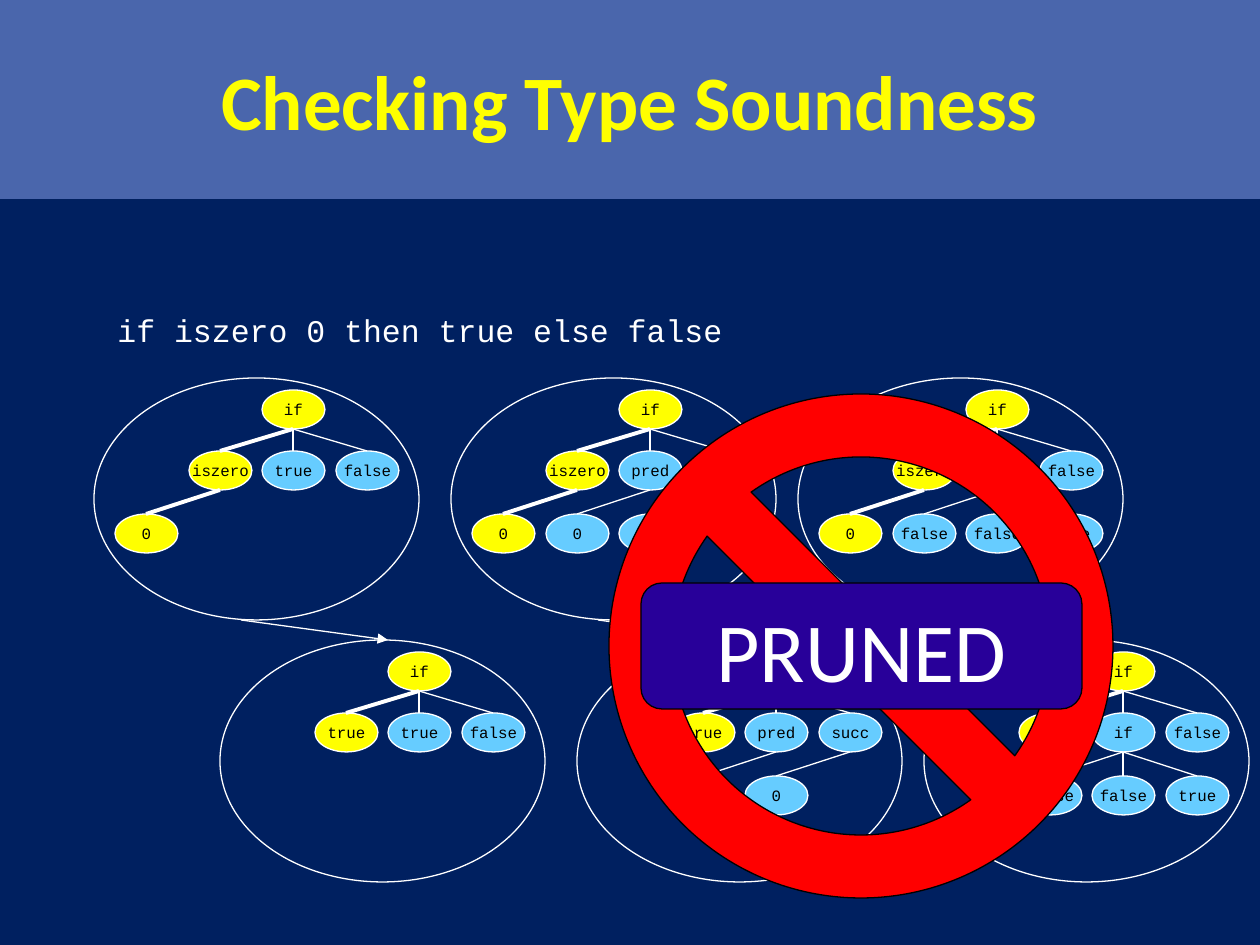
from dataclasses import dataclass

from lxml import etree
from pptx import Presentation
from pptx.dml.color import RGBColor
from pptx.enum.shapes import MSO_CONNECTOR, MSO_SHAPE
from pptx.enum.text import MSO_ANCHOR, PP_ALIGN
from pptx.oxml.ns import qn
from pptx.util import Emu, Pt

RECT, ROUND_RECT = MSO_SHAPE.RECTANGLE, MSO_SHAPE.ROUNDED_RECTANGLE
OVAL, NO_SIGN = MSO_SHAPE.OVAL, MSO_SHAPE.NO_SYMBOL
STRAIGHT = MSO_CONNECTOR.STRAIGHT
MIDDLE, CENTER, LEFT = MSO_ANCHOR.MIDDLE, PP_ALIGN.CENTER, PP_ALIGN.LEFT

EMU_PER_PX = 914400 / 126
COLORS = {
    "background": "002060", "banner": "4A66AC", "active": "FFFF00",
    "idle": "66CCFF", "white": "FFFFFF", "black": "000000",
    "sign": "FF0000", "label": "280099",
}
SANS, MONO = "Calibri", "Courier New"
THIN, THICK = 0.75, 2.25

# Offsets inside the oval that surrounds a tree
OVAL_W, OVAL_H = 325, 242
NODE_W, NODE_H = 63, 39
COLUMN_X = (21, 95, 168, 242)
ROW_Y = (12, 73, 136)
ROOT_COLUMN = 2
ARROW_START_X, ARROW_END_X = 147, 168
STEP_X, STEP_Y = 126, 262  # from a state to the state that follows it


@dataclass(frozen=True)
class Node:
    label: str
    row: int
    column: int
    parent: int = ROOT_COLUMN
    active: bool = False
    covered: bool = False


@dataclass(frozen=True)
class Transition:
    x: int
    y: int
    before: tuple[Node, ...]
    after: tuple[Node, ...]


ROOT = Node("if", 0, ROOT_COLUMN, active=True)
COVERED_ROOT = Node("", 0, ROOT_COLUMN, active=True, covered=True)
ZERO_TEST = (Node("iszero", 1, 1, active=True),
             Node("0", 2, 0, parent=1, active=True))
TRUE_TEST = Node("true", 1, 1, active=True)
FALSE_BRANCH = Node("false", 1, 3)
SIMPLE_BRANCHES = (Node("true", 1, 2), FALSE_BRANCH)


def nested_if(first_column: int, parent: int) -> tuple[Node, ...]:
    return tuple(Node(label, 2, first_column + i, parent)
                 for i, label in enumerate(("false", "false", "true")))


TRANSITIONS = (
    Transition(94, 378, (ROOT, *ZERO_TEST, *SIMPLE_BRANCHES),
               (ROOT, TRUE_TEST, *SIMPLE_BRANCHES)),
    Transition(451, 378,
               (ROOT, *ZERO_TEST, Node("pred", 1, 2), Node("", 1, 3),
                Node("0", 2, 1, 2), Node("", 2, 2, 3)),
               (COVERED_ROOT, TRUE_TEST, Node("pred", 1, 2), Node("succ", 1, 3),
                Node("", 2, 1, 2), Node("0", 2, 2, 3))),
    Transition(798, 378,
               (ROOT, *ZERO_TEST, Node("", 1, 2), FALSE_BRANCH, *nested_if(1, 2)),
               (ROOT, TRUE_TEST, Node("if", 1, 2), FALSE_BRANCH, *nested_if(1, 2))),
)


def px(value: int) -> Emu:
    return Emu(round(value * EMU_PER_PX))


def rgb(name: str) -> RGBColor:
    return RGBColor.from_string(COLORS[name])


def add_figure(shapes, kind, x: int, y: int, w: int, h: int,
               fill: str | None = None, line: str | None = None):
    figure = shapes.add_shape(kind, px(x), px(y), px(w), px(h))
    figure.shadow.inherit = False
    if fill:
        figure.fill.solid()
        figure.fill.fore_color.rgb = rgb(fill)
    else:
        figure.fill.background()
    if line:
        figure.line.color.rgb = rgb(line)
        figure.line.width = Pt(THIN)
    else:
        figure.line.fill.background()
    return figure


def write(figure, text: str, font: str, size: int, color: str,
          bold: bool = False, align=CENTER, wrap: bool = False) -> None:
    frame = figure.text_frame
    frame.word_wrap = wrap
    frame.vertical_anchor = MIDDLE
    paragraph = frame.paragraphs[0]
    paragraph.alignment = align
    run = paragraph.add_run()
    run.text = text
    run.font.name = font
    run.font.size = Pt(size)
    run.font.bold = bold
    run.font.color.rgb = rgb(color)


def add_line(shapes, x1: int, y1: int, x2: int, y2: int,
             width: float = THIN, arrow: bool = False) -> None:
    connector = shapes.add_connector(STRAIGHT, px(x1), px(y1), px(x2), px(y2))
    connector.line.color.rgb = rgb("white")
    connector.line.width = Pt(width)
    if arrow:
        outline = connector.line._get_or_add_ln()
        etree.SubElement(outline, qn("a:tailEnd"), type="triangle")
    etree.SubElement(connector._element.spPr, qn("a:effectLst"))


def add_tree(shapes, x: int, y: int, nodes: tuple[Node, ...]) -> None:
    for node in nodes:
        if node.covered:
            continue
        oval = add_figure(shapes, OVAL, x + COLUMN_X[node.column], y + ROW_Y[node.row],
                          NODE_W, NODE_H, "active" if node.active else "idle", "white")
        if node.label:
            write(oval, node.label, MONO, 9, "black")
    # Edges run from the bottom of the parent to the top of the child
    middle = x + NODE_W // 2
    for node in nodes:
        if node.row:
            add_line(shapes, middle + COLUMN_X[node.parent],
                     y + ROW_Y[node.row - 1] + NODE_H,
                     middle + COLUMN_X[node.column], y + ROW_Y[node.row],
                     THICK if node.active else THIN)
    add_figure(shapes, OVAL, x, y, OVAL_W, OVAL_H, line="white")


def add_transition(shapes, step: Transition) -> None:
    group = shapes.add_group_shape().shapes
    next_x, next_y = step.x + STEP_X, step.y + STEP_Y
    add_tree(group, step.x, step.y, step.before)
    add_line(group, step.x + ARROW_START_X, step.y + OVAL_H,
             next_x + ARROW_END_X, next_y, arrow=True)
    add_tree(group, next_x, next_y, step.after)


def main() -> None:
    prs = Presentation()
    prs.slide_width, prs.slide_height = px(1260), px(945)
    slide = prs.slides.add_slide(prs.slide_layouts[6])
    slide.background.fill.solid()
    slide.background.fill.fore_color.rgb = rgb("background")
    shapes = slide.shapes

    # Title banner
    banner = add_figure(shapes, RECT, 0, 0, 1260, 199, "banner")
    write(banner, "Checking Type Soundness", SANS, 44, "active", bold=True, wrap=True)

    # Program under test
    program = shapes.add_textbox(px(105), px(305), px(683), px(50))
    write(program, "if iszero 0 then true else false", MONO, 18, "white",
          align=LEFT, wrap=True)

    # Program states and their successors
    for step in TRANSITIONS:
        add_transition(shapes, step)

    # Prohibition sign with its label
    sign_group = shapes.add_group_shape().shapes
    sign = add_figure(sign_group, NO_SIGN, 609, 394, 504, 504, "sign", "black")
    sign.adjustments[0] = 0.125
    pruned = add_figure(sign_group, ROUND_RECT, 641, 583, 441, 126, "label", "black")
    pruned.text_frame.margin_top = px(13)
    write(pruned, "PRUNED", SANS, 48, "white")

    prs.save("out.pptx")


if __name__ == "__main__":
    main()
